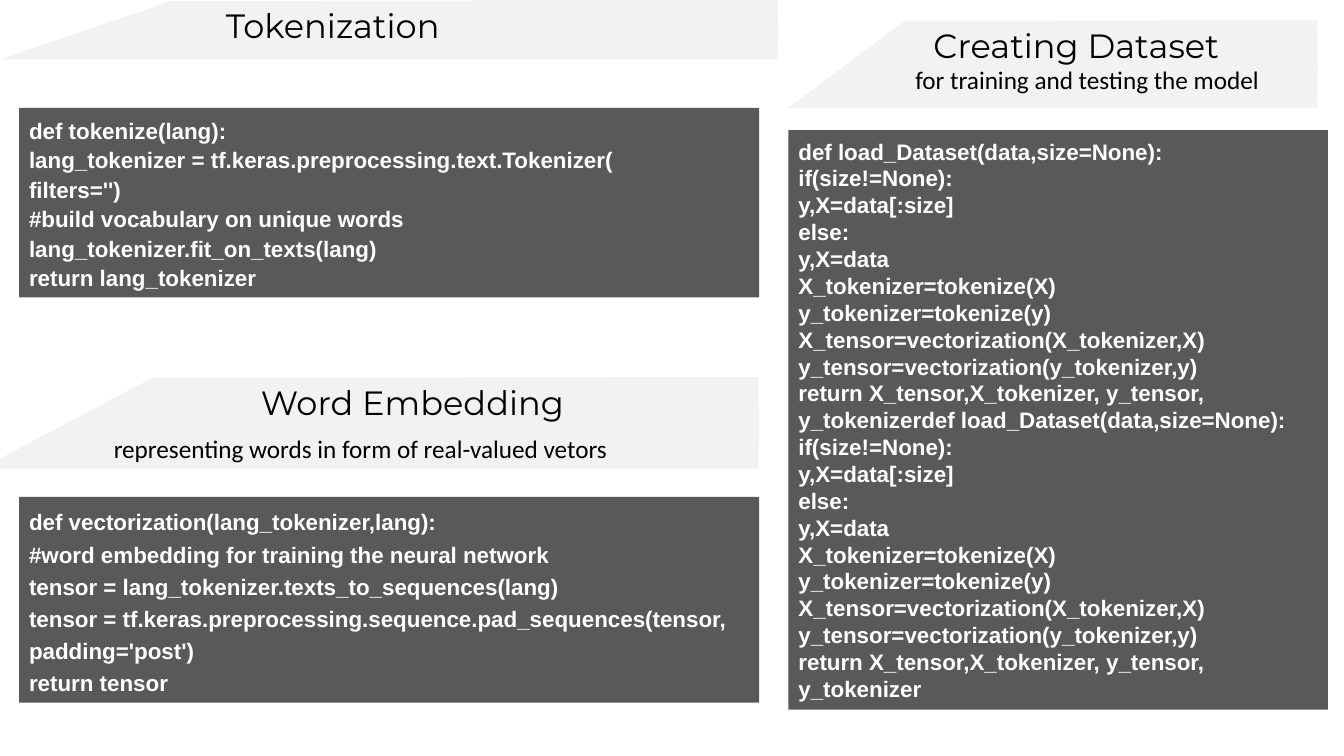
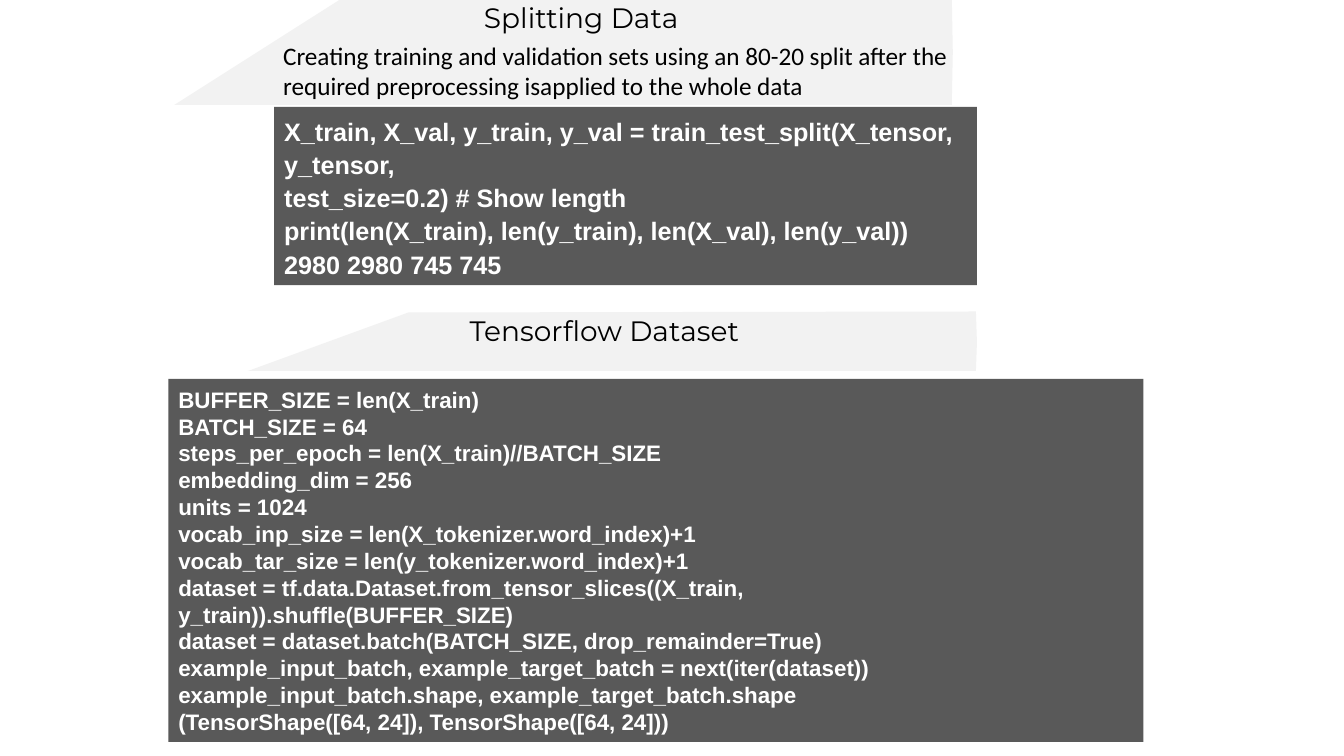
"""Build two slides of headed code panels on tokenization and dataset preparation."""
from dataclasses import dataclass
from typing import NamedTuple, Optional

import pptx
import pptx.dml.color
import pptx.enum.shapes
import pptx.enum.text
import pptx.util

Inches = pptx.util.Inches
RGBColor = pptx.dml.color.RGBColor


@dataclass(frozen=True)
class Theme:
    band: RGBColor = RGBColor(0xF2, 0xF2, 0xF2)
    panel: RGBColor = RGBColor(0x59, 0x59, 0x59)
    ink: RGBColor = RGBColor(0, 0, 0)
    code: RGBColor = RGBColor(0xFF, 0xFF, 0xFF)
    title_font: str = "Montserrat"
    subtitle_font: str = "Calibri"
    code_font: str = "Arial"
    title_large: int = 24
    title_small: int = 20
    subtitle_size: int = 18
    code_large: int = 18
    code_small: int = 16


THEME = Theme()


class Box(NamedTuple):
    left: float
    top: float
    width: float
    height: float

    def emu(self) -> list[int]:
        return [Inches(value) for value in self]


@dataclass(frozen=True)
class Caption:
    text: str
    box: Box


@dataclass(frozen=True)
class Section:
    title: Caption
    title_size: int
    band: Box
    panel: Box
    code: str
    subtitle: Optional[Caption] = None
    code_size: int = THEME.code_small
    line_spacing: Optional[float] = None


TOKENIZE_CODE = """def tokenize(lang):
lang_tokenizer = tf.keras.preprocessing.text.Tokenizer(
filters='')
#build vocabulary on unique words
lang_tokenizer.fit_on_texts(lang)
return lang_tokenizer"""

VECTORIZE_CODE = """def vectorization(lang_tokenizer,lang):
#word embedding for training the neural network
tensor = lang_tokenizer.texts_to_sequences(lang)
tensor = tf.keras.preprocessing.sequence.pad_sequences(tensor,
padding='post')
return tensor"""

LOAD_CODE = """def load_Dataset(data,size=None):
if(size!=None):
y,X=data[:size]
else:
y,X=data
X_tokenizer=tokenize(X)
y_tokenizer=tokenize(y)
X_tensor=vectorization(X_tokenizer,X)
y_tensor=vectorization(y_tokenizer,y)
return X_tensor,X_tokenizer, y_tensor, y_tokenizer"""

SPLIT_CODE = """X_train, X_val, y_train, y_val = train_test_split(X_tensor, y_tensor,
test_size=0.2) # Show length
print(len(X_train), len(y_train), len(X_val), len(y_val))
2980 2980 745 745"""

BATCH_CODE = """BUFFER_SIZE = len(X_train)
BATCH_SIZE = 64
steps_per_epoch = len(X_train)//BATCH_SIZE
embedding_dim = 256
units = 1024
vocab_inp_size = len(X_tokenizer.word_index)+1
vocab_tar_size = len(y_tokenizer.word_index)+1
dataset = tf.data.Dataset.from_tensor_slices((X_train,
y_train)).shuffle(BUFFER_SIZE)
dataset = dataset.batch(BATCH_SIZE, drop_remainder=True)
example_input_batch, example_target_batch = next(iter(dataset))
example_input_batch.shape, example_target_batch.shape
(TensorShape([64, 24]), TensorShape([64, 24]))"""

SLIDES = [
    [
        Section(
            Caption("Tokenization", Box(2.14, 0, 3.44, 0.5)), THEME.title_large,
            Box(0, 0, 7.72, 0.59), Box(0.19, 1.07, 7.34, 1.88),
            TOKENIZE_CODE, line_spacing=1.1,
        ),
        Section(
            Caption("Word Embedding", Box(2.49, 3.74, 3.88, 0.5)), THEME.title_large,
            Box(-0.19, 3.74, 7.72, 0.91), Box(0.19, 4.93, 7.34, 2.04),
            VECTORIZE_CODE, line_spacing=1.2,
            subtitle=Caption("representing words in form of real-valued vetors",
                             Box(1.03, 4.25, 5.28, 0.4)),
        ),
        Section(
            Caption("Creating Dataset", Box(9.16, 0.2, 3.7, 0.5)), THEME.title_large,
            Box(7.82, 0.2, 5.25, 0.87), Box(7.82, 1.29, 5.35, 5.75),
            LOAD_CODE * 2,
            subtitle=Caption("for training and testing the model",
                             Box(8.98, 0.59, 4.35, 0.4)),
        ),
    ],
    [
        Section(
            Caption("Splitting Data", Box(4.7, -0.05, 2.93, 0.45)), THEME.title_small,
            Box(1.73, -0.05, 7.72, 1.09), Box(2.72, 1.06, 6.97, 1.77),
            SPLIT_CODE, code_size=THEME.code_large, line_spacing=1.1,
            subtitle=Caption(
                "Creating training and validation sets using an 80-20 split after the "
                "required preprocessing isapplied to the whole data",
                Box(2.71, 0.35, 7.5, 0.71)),
        ),
        Section(
            Caption("Tensorflow Dataset", Box(4.56, 3.06, 3.53, 0.45)), THEME.title_small,
            Box(2.46, 3.09, 7.23, 0.59), Box(1.67, 3.76, 9.67, 3.6),
            BATCH_CODE,
        ),
    ],
]


def paint(shape, color: RGBColor) -> None:
    shape.fill.solid()
    shape.fill.fore_color.rgb = color
    shape.line.fill.background()
    shape.shadow.inherit = False


def write(shape, text: str, font: str, size: int, color: RGBColor,
          bold: bool = False, spacing: Optional[float] = None) -> None:
    frame = shape.text_frame
    frame.text = text
    frame.word_wrap = True
    frame.auto_size = pptx.enum.text.MSO_AUTO_SIZE.NONE
    for paragraph in frame.paragraphs:
        paragraph.alignment = pptx.enum.text.PP_ALIGN.LEFT
        paragraph.line_spacing = spacing
        for run in paragraph.runs:
            run.font.name = font
            run.font.size = pptx.util.Pt(size)
            run.font.bold = bold
            run.font.color.rgb = color


def draw_band(slide, box: Box) -> None:
    left, top, width, height = box
    right, bottom = left + width, top + height
    peak = left + 0.22 * width
    outline = [(peak, top + 0.01), (right - 0.01, top), (right, top + 0.52 * height),
               (right - 0.01, bottom), (left, bottom)]
    start, *rest = [(Inches(x), Inches(y)) for x, y in outline]
    builder = slide.shapes.build_freeform(*start)
    builder.add_line_segments(rest, close=True)
    paint(builder.convert_to_shape(), THEME.band)


def draw_title(slide, section: Section, is_main: bool) -> None:
    box = section.title.box.emu()
    if is_main:
        title = slide.shapes.title
        title.left, title.top, title.width, title.height = box
        slide.shapes.element.append(title.element)
    else:
        title = slide.shapes.add_textbox(*box)
    write(title, section.title.text, THEME.title_font, section.title_size, THEME.ink)
    title.text_frame.vertical_anchor = pptx.enum.text.MSO_ANCHOR.TOP


def draw_panel(slide, section: Section) -> None:
    panel = slide.shapes.add_shape(
        pptx.enum.shapes.MSO_SHAPE.RECTANGLE, *section.panel.emu())
    paint(panel, THEME.panel)
    write(panel, section.code, THEME.code_font, section.code_size, THEME.code,
          bold=True, spacing=section.line_spacing)
    panel.text_frame.vertical_anchor = pptx.enum.text.MSO_ANCHOR.MIDDLE


def draw_section(slide, section: Section, is_main: bool) -> None:
    draw_band(slide, section.band)
    draw_title(slide, section, is_main)
    draw_panel(slide, section)
    if section.subtitle:
        subtitle = slide.shapes.add_textbox(*section.subtitle.box.emu())
        write(subtitle, section.subtitle.text, THEME.subtitle_font,
              THEME.subtitle_size, THEME.ink)


def main() -> None:
    deck = pptx.Presentation()
    deck.slide_width, deck.slide_height = Inches(13.33), Inches(7.5)
    title_only = deck.slide_layouts[5]
    for sections in SLIDES:
        slide = deck.slides.add_slide(title_only)
        for index, section in enumerate(sections):
            draw_section(slide, section, is_main=index == 0)
    deck.save("out.pptx")


if __name__ == "__main__":
    main()
